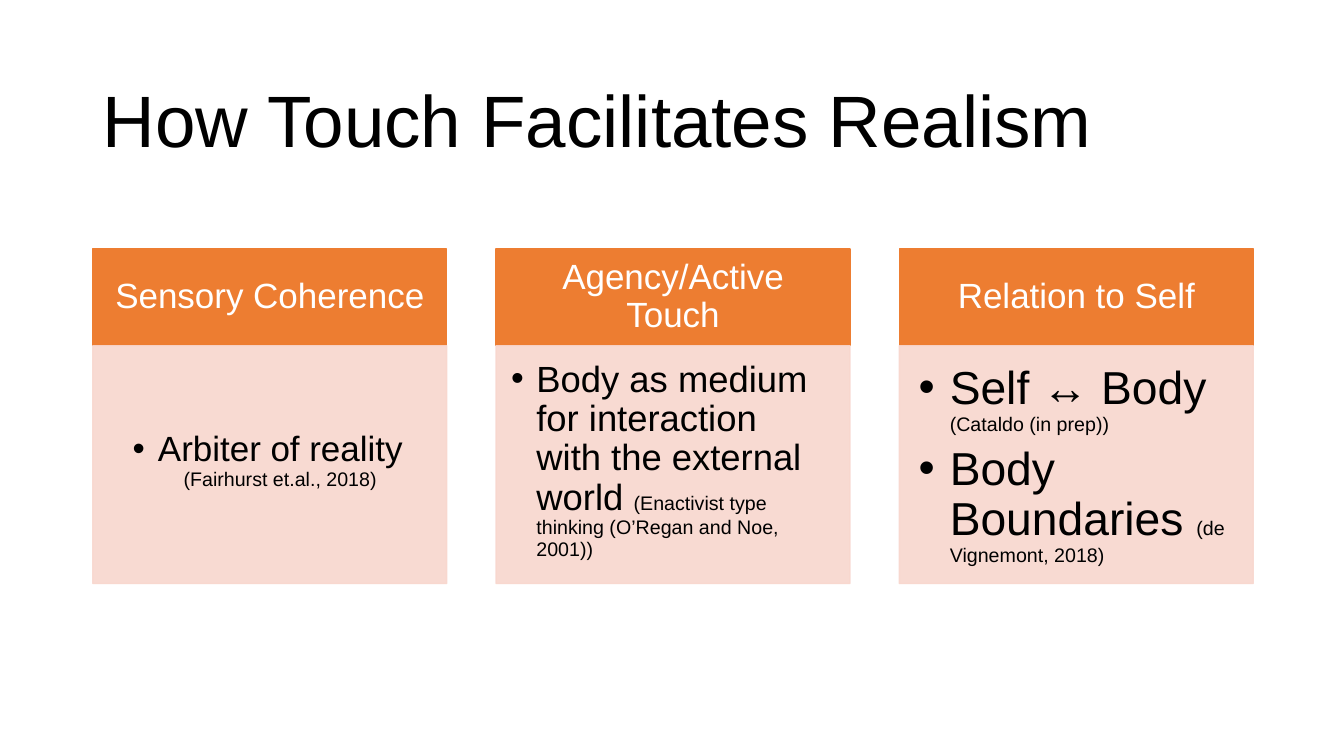
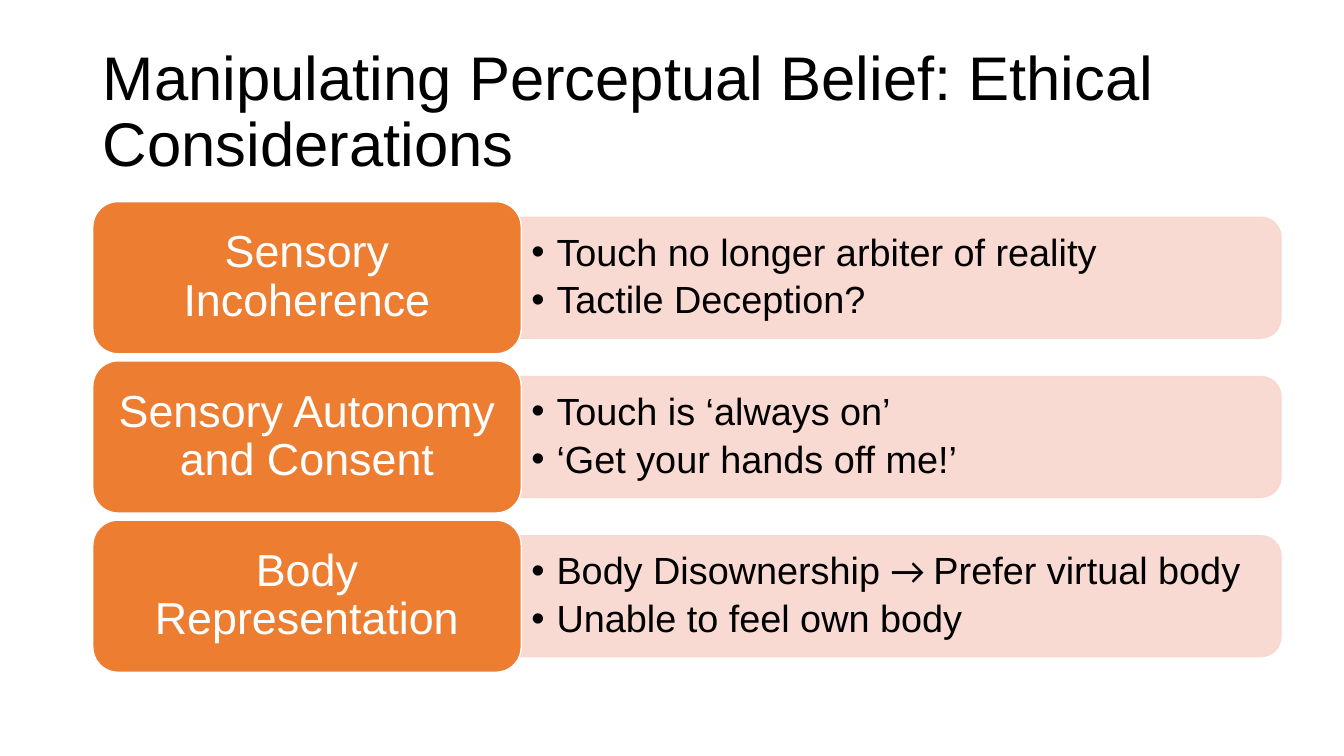
"""Build two slides on touch, realism and the ethics of perceptual belief."""
from dataclasses import dataclass

from lxml import etree
from pptx import Presentation
from pptx.dml.color import RGBColor
from pptx.enum.shapes import MSO_SHAPE
from pptx.enum.text import MSO_ANCHOR, MSO_AUTO_SIZE, PP_ALIGN
from pptx.oxml.ns import qn
from pptx.util import Pt

PX = 9144
RECT, ROUNDED, TAB = MSO_SHAPE.RECTANGLE, MSO_SHAPE.ROUNDED_RECTANGLE, MSO_SHAPE.ROUND_2_SAME_RECTANGLE
TOP, MIDDLE = MSO_ANCHOR.TOP, MSO_ANCHOR.MIDDLE
LEFT, CENTER = PP_ALIGN.LEFT, PP_ALIGN.CENTER
NO_FIT = MSO_AUTO_SIZE.NONE


@dataclass(frozen=True)
class Theme:
    """Colours, fonts and type sizes of the deck."""
    accent: str = "ED7D31"
    tint: str = "F8D7CE"
    ink: str = "000000"
    paper: str = "FFFFFF"
    font: str = "Arial"
    arrow_font: str = "Calibri"
    title: int = 52
    long_title: int = 44
    label: int = 32
    point: int = 27
    heading: int = 25
    medium: int = 26
    large: int = 33
    citation: int = 14


THEME = Theme()


def write(frame, paragraphs, color=THEME.ink, align=LEFT, anchor=MIDDLE,
          insets=(10, 5, 10, 5), hang=0, gap=0):
    """Fill a text frame with paragraphs of (text, size, font) spans."""
    left, top, right, bottom = (inset * PX for inset in insets)
    frame_format = dict(word_wrap=True, auto_size=NO_FIT, vertical_anchor=anchor, margin_left=left,
                        margin_top=top, margin_right=right, margin_bottom=bottom)
    for name, value in frame_format.items():
        setattr(frame, name, value)
    for index, spans in enumerate(paragraphs):
        para = frame.add_paragraph() if index else frame.paragraphs[0]
        if hang:
            properties = para._p.get_or_add_pPr()
            properties.set("marL", str(hang * PX))
            properties.set("indent", str(-hang * PX))
            etree.SubElement(properties, qn("a:buFont"), typeface=THEME.font)
            etree.SubElement(properties, qn("a:buChar"), char="•")
        para_format = dict(alignment=align, line_spacing=0.9, space_before=Pt(0), space_after=Pt(gap))
        for name, value in para_format.items():
            setattr(para, name, value)
        for text, size, font in spans:
            span = para.add_run()
            span.text = text
            for name, value in dict(size=Pt(size), name=font).items():
                setattr(span.font, name, value)
            span.font.color.rgb = RGBColor.from_string(color)


def add_block(page, kind, box, fill, line, opacity=100):
    """Add a filled and outlined shape at a px box."""
    block = page.shapes.add_shape(kind, *(length * PX for length in box))
    block.shadow.inherit = False
    block.fill.solid()
    block.line.width = Pt(1)
    for color_format, value in ((block.fill.fore_color, fill), (block.line.color, line)):
        color_format.rgb = RGBColor.from_string(value)
    if opacity < 100:
        for color in block._element.spPr.iter(qn("a:srgbClr")):
            etree.SubElement(color, qn("a:alpha"), val=str(opacity * 1000))
    return block


deck = Presentation()
deck.slide_width, deck.slide_height = 1333 * PX, 750 * PX

titles = [
    ("How Touch Facilitates Realism", THEME.title, (92, 61, 1217, 124)),
    ("Manipulating Perceptual Belief: Ethical Considerations", THEME.long_title, (92, 40, 1150, 145)),
]
for text, size, box in titles:
    page = deck.slides.add_slide(deck.slide_layouts[5])
    title = page.shapes.title
    for name, length in zip(("left", "top", "width", "height"), box):
        setattr(title, name, length * PX)
    write(title.text_frame, [[(text, size, THEME.font)]])
realism_page, ethics_page = deck.slides

columns = [
    ("Sensory Coherence", THEME.heading,
     [("Arbiter of reality ", "(Fairhurst et.al., 2018)")],
     dict(align=CENTER, anchor=MIDDLE, insets=(15, 15, 19, 22), hang=25, gap=4)),
    ("Agency/Active Touch", THEME.medium,
     [("Body as medium for interaction with the external world ",
       "(Enactivist type thinking (O’Regan and Noe, 2001))")],
     dict(anchor=TOP, insets=(15, 15, 20, 23), hang=25, gap=4)),
    ("Relation to Self", THEME.large,
     [("Self ↔ Body ", "(Cataldo (in prep))"), ("Body Boundaries ", "(de Vignemont, 2018)")],
     dict(anchor=TOP, insets=(19, 19, 26, 29), hang=31, gap=7)),
]
COLUMN_WIDTH, COLUMN_GAP = 351, 49
for index, (heading, size, claims, layout) in enumerate(columns):
    left = 92 + index * (COLUMN_WIDTH + COLUMN_GAP)
    header = add_block(realism_page, RECT, (left, 247, COLUMN_WIDTH, 96), THEME.accent, THEME.accent)
    write(header.text_frame, [[(heading, THEME.heading, THEME.font)]],
          color=THEME.paper, align=CENTER, insets=(19, 11, 19, 11))
    card = add_block(realism_page, RECT, (left, 343, COLUMN_WIDTH, 236), THEME.tint, THEME.tint, 90)
    write(card.text_frame,
          [[(claim, size, THEME.font), (source, THEME.citation, THEME.font)] for claim, source in claims],
          **layout)

rows = [
    ("Sensory Incoherence", ["Touch no longer arbiter of reality", "Tactile Deception?"]),
    ("Sensory Autonomy and Consent", ["Touch is ‘always on’", "‘Get your hands off me!’"]),
    ("Body Representation", ["Body Disownership → Prefer virtual body", "Unable to feel own body"]),
]
ROW_HEIGHT, ROW_PITCH = 151, 158
PANEL_LEFT, PANEL_WIDTH, PANEL_HEIGHT = 516, 755, 120
for index, (label, points) in enumerate(rows):
    top = 200 + index * ROW_PITCH
    turn = (PANEL_WIDTH - PANEL_HEIGHT) // 2
    panel_top = top + (ROW_HEIGHT - PANEL_HEIGHT) // 2
    panel = add_block(ethics_page, TAB, (PANEL_LEFT + turn, panel_top - turn, PANEL_HEIGHT, PANEL_WIDTH),
                      THEME.tint, THEME.tint, 90)
    panel.rotation = 90
    list_box = ethics_page.shapes.add_textbox(PANEL_LEFT * PX, (top + 21) * PX, 749 * PX, 109 * PX)
    paragraphs = []
    for point in points:
        before, arrow, after = point.partition("→ ")
        spans = [(before, THEME.font), (arrow, THEME.arrow_font), (after, THEME.font)]
        paragraphs.append([(text, THEME.point, font) for text, font in spans if text])
    write(list_box.text_frame, paragraphs, insets=(11, 6, 11, 6), hang=25, gap=5)
    tile = add_block(ethics_page, ROUNDED, (92, top, 425, ROW_HEIGHT), THEME.accent, THEME.paper)
    write(tile.text_frame, [[(label, THEME.label, THEME.font)]],
          color=THEME.paper, align=CENTER, insets=(13, 7, 13, 7))

deck.save("out.pptx")
